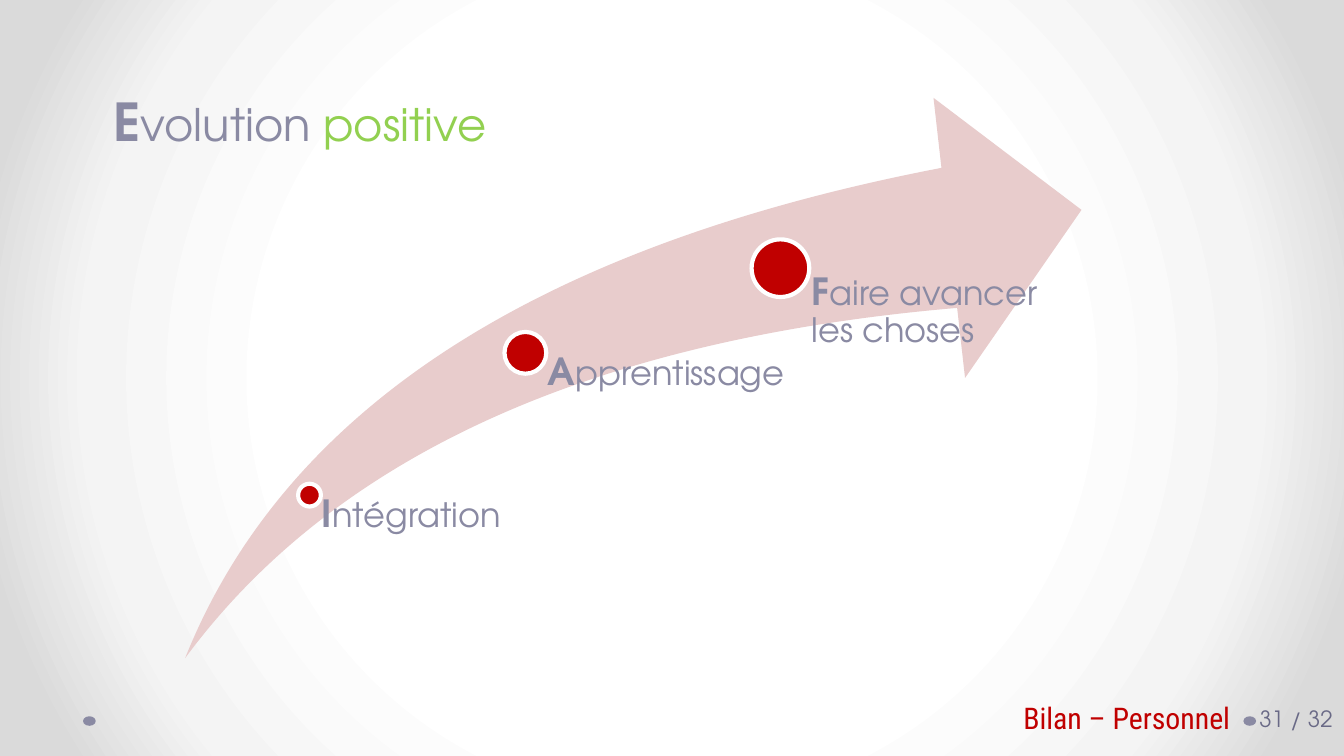
"""Build the slide on positive evolution: three steps along a rising arrow."""
from pptx import Presentation
from pptx.dml.color import RGBColor as Rgb
from pptx.enum.shapes import MSO_SHAPE as Kind
from pptx.enum.text import MSO_ANCHOR as Anchor, MSO_AUTO_SIZE as Fit, PP_ALIGN as Align
from pptx.oxml import parse_xml
from pptx.util import Cm, Pt

theme = {
    "ink": "8A8AA3", "red": "C00000", "pink": "E8CCCC", "green": "92D050",
    "white": "FFFFFF", "page": "696986",
    "glow": [(50, "FFFFFF"), (76, "F4F4F4"), (92, "DADADA")],
    "font": "TeX Gyre Adventor", "slim": "Roboto Condensed",
    "head": 28, "title": 24, "cap": 20, "body": 18, "foot": 16, "num": 12,
}


def draw(kind, box, color, edge=None):
    item = slide.shapes.add_shape(kind, *map(Cm, box))
    item.shadow.inherit = False
    item.fill.solid()
    item.fill.fore_color.rgb = Rgb.from_string(theme[color])
    if edge:
        item.line.color.rgb = Rgb.from_string(theme[edge])
        item.line.width = Pt(2.25)
    else:
        item.line.fill.background()
    return item


def write(item, runs, pads, form, spacing=None, align=Align.LEFT):
    frame = item.text_frame
    sides = ("margin_left", "margin_top", "margin_right", "margin_bottom")
    values = {"word_wrap": True, **form, **dict(zip(sides, map(Cm, pads)))}
    for key, value in values.items():
        setattr(frame, key, value)
    para = frame.paragraphs[0]
    para.alignment = align
    para.line_spacing = spacing
    for text, size, color, face, bold in runs:
        run = para.add_run()
        run.text = text
        look = {"size": Pt(theme[size]), "name": theme[face], "bold": bold}
        for key, value in look.items():
            setattr(run.font, key, value)
        run.font.color.rgb = Rgb.from_string(theme[color])


deck = Presentation()
deck.slide_width, deck.slide_height = Cm(25.4), Cm(14.29)
slide = deck.slides.add_slide(deck.slide_layouts[5])

back = slide.background.fill
back.gradient()
stops = "".join(
    f'<a:gs pos="{pos * 1000}"><a:srgbClr val="{color}"/></a:gs>'
    for pos, color in theme["glow"]
)
grad = parse_xml(
    '<a:gradFill xmlns:a="http://schemas.openxmlformats.org/drawingml/2006/main" '
    f'rotWithShape="1"><a:gsLst>{stops}</a:gsLst><a:path path="circle">'
    '<a:fillToRect l="50000" t="50000" r="50000" b="50000"/></a:path></a:gradFill>'
)
old = slide.background._cSld.bg.bgPr[0]
old.getparent().replace(old, grad)

for left in (23.5, 1.57):
    draw(Kind.OVAL, (left, 13.54, 0.24, 0.18), "ink")

foot = slide.shapes.add_textbox(*map(Cm, (1.9, 13.13, 21.6, 0.86)))
write(foot, [("Bilan – Personnel", "foot", "red", "slim", False)],
      [0.25] * 4, {"vertical_anchor": Anchor.MIDDLE}, align=Align.RIGHT)

arrow = draw(Kind.SWOOSH_ARROW, (3.5, 1.85, 16.94, 10.59), "pink")
arrow.adjustments[0] = arrow.adjustments[1] = 0.25

steps = [
    ("Intégration", 5.85, 9.36, 0.43, 9.37, 3.94, 3.05),
    ("Apprentissage", 9.93, 6.67, 0.79, 6.68, 5.21, 5.77),
    ("Faire avancer les choses", 14.75, 5.07, 1.09, 5.16, 5.54, 7.37),
]
for text, mid, level, size, top, width, height in steps:
    draw(Kind.OVAL, (mid - size / 2, level - size / 2, size, size), "red", "white")
    label = slide.shapes.add_textbox(*map(Cm, (mid, top, width, height)))
    write(label, [(text[0], "cap", "ink", "font", True),
                  (text[1:], "body", "ink", "font", False)],
          (size * 0.54, 0, 0, 0), {"vertical_anchor": Anchor.TOP}, 0.9)

title = slide.shapes.title
place = zip(("left", "top", "width", "height"), (1.9, 1.55, 9.4, 1.45))
for key, value in place:
    setattr(title, key, Cm(value))
write(title, [("E", "head", "ink", "font", True),
              ("volution ", "title", "ink", "font", False),
              ("positive", "title", "green", "font", False)],
      (0.25, 0.13, 0.25, 0.13),
      {"vertical_anchor": Anchor.TOP, "auto_size": Fit.SHAPE_TO_FIT_TEXT})

page = slide.shapes.add_textbox(*map(Cm, (23.72, 13.23, 1.98, 0.71)))
write(page, [("31 / 32", "num", "page", "font", False)],
      (0.08, 0.13, 0.13, 0.13), {"vertical_anchor": Anchor.MIDDLE})

deck.save("out.pptx")
